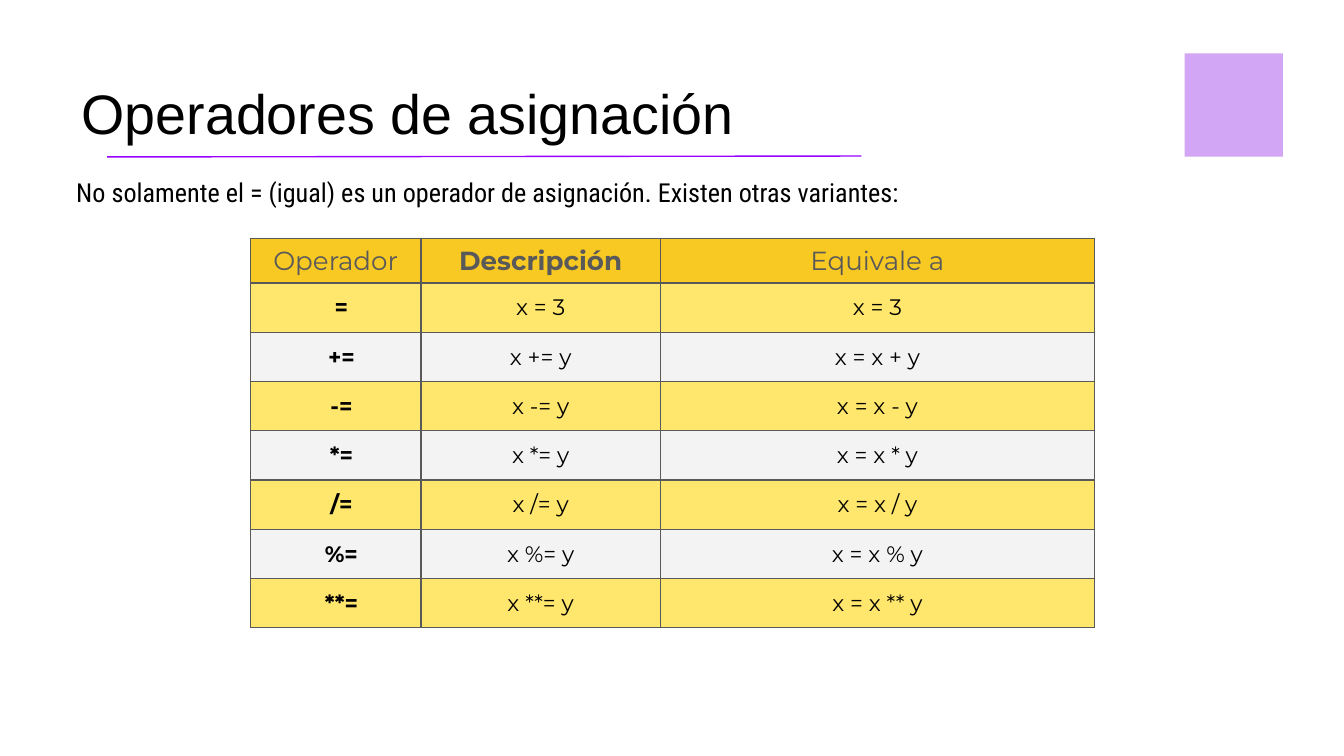
from lxml import etree
from pptx import Presentation
from pptx import util as u
from pptx.dml.color import RGBColor
from pptx.enum import shapes, text
from pptx.oxml import parse_xml
from pptx.oxml.ns import nsdecls, qn

BLACK = RGBColor(0x00, 0x00, 0x00)
GRAY = RGBColor(0x59, 0x59, 0x59)
PURPLE = RGBColor(0x99, 0x00, 0xFF)
LILAC = RGBColor(0xD2, 0xA6, 0xF4)
GOLD = RGBColor(0xF8, 0xC8, 0x23)
YELLOW = RGBColor(0xFF, 0xE6, 0x6D)
LIGHT = RGBColor(0xF3, 0xF3, 0xF3)
Pt = u.Pt


def style(paragraph, font_name, size, color, bold=False):
    for run in paragraph.runs:
        run.font.name = font_name
        run.font.size = Pt(size)
        run.font.color.rgb = color
        run.font.bold = bold


def set_borders(cell, color, width):
    properties = cell._tc.get_or_add_tcPr()
    for index, side in enumerate(("lnL", "lnR", "lnT", "lnB")):
        properties.insert(index, parse_xml(
            f'<a:{side} {nsdecls("a")} w="{Pt(width)}"><a:solidFill>'
            f'<a:srgbClr val="{color}"/></a:solidFill></a:{side}>'))


presentation = Presentation()
presentation.slide_width = Pt(720)
presentation.slide_height = Pt(405)
slide = presentation.slides.add_slide(presentation.slide_layouts[6])

underline = slide.shapes.add_connector(
    shapes.MSO_CONNECTOR.STRAIGHT, Pt(57.4), Pt(84.1), Pt(461.4), Pt(83.6))
underline.line.color.rgb = PURPLE
underline.line.width = Pt(0.75)
etree.SubElement(underline._element.spPr, qn("a:effectLst"))

square = slide.shapes.add_shape(
    shapes.MSO_SHAPE.RECTANGLE, Pt(634.7), Pt(28.6), Pt(52.6), Pt(55.4))
square.shadow.inherit = False
square.fill.solid()
square.fill.fore_color.rgb = LILAC
square.line.fill.background()

text_boxes = [
    ("Operadores de asignación", (36.7, 41, 669.6, 45.4),
     "Arial", 29.8, 0.8, text.MSO_ANCHOR.MIDDLE),
    ("No solamente el = (igual) es un operador de asignación. Existen otras variantes:",
     (33.8, 85, 652.3, 261.4), "Roboto Condensed", 14, 1.15, text.MSO_ANCHOR.TOP),
]
for content, bounds, font_name, size, spacing, anchor in text_boxes:
    frame = slide.shapes.add_textbox(*map(Pt, bounds)).text_frame
    frame.word_wrap = True
    frame.vertical_anchor = anchor
    frame.margin_left = frame.margin_right = Pt(7.2)
    frame.margin_top = frame.margin_bottom = Pt(7.2)
    frame.text = content
    paragraph = frame.paragraphs[0]
    paragraph.line_spacing = spacing
    style(paragraph, font_name, size, BLACK)

rows = [("Operador", "Descripción", "Equivale a"), ("=", "x = 3", "x = 3")]
for operator in ("+", "-", "*", "/", "%", "**"):
    rows.append((f"{operator}=", f"x {operator}= y", f"x = x {operator} y"))

column_widths = [91.4, 128.2, 232.6]
row_height = 21.6
table = slide.shapes.add_table(
    len(rows), len(column_widths), Pt(134.2), Pt(127.6),
    Pt(sum(column_widths)), Pt(row_height * len(rows))).table
for column, width in zip(table.columns, column_widths):
    column.width = Pt(width)

for row_index, row in enumerate(rows):
    table.rows[row_index].height = Pt(row_height)
    header = row_index == 0
    fill = GOLD if header else YELLOW if row_index % 2 else LIGHT
    for column_index, content in enumerate(row):
        cell = table.cell(row_index, column_index)
        cell.fill.solid()
        cell.fill.fore_color.rgb = fill
        set_borders(cell, GRAY, 0.75)
        cell.margin_left = cell.margin_right = Pt(7.2 if header else 6)
        cell.margin_top = cell.margin_bottom = Pt(3.6 if header else 6)
        if column_index == 0 and not header:
            cell.margin_left = Pt(12)
        cell.text_frame.text = content
        paragraph = cell.text_frame.paragraphs[0]
        paragraph.alignment = text.PP_ALIGN.CENTER
        bold_column = 1 if header else 0
        style(paragraph, "Montserrat", 14 if header else 12,
              GRAY if header else BLACK, column_index == bold_column)

presentation.save("out.pptx")
